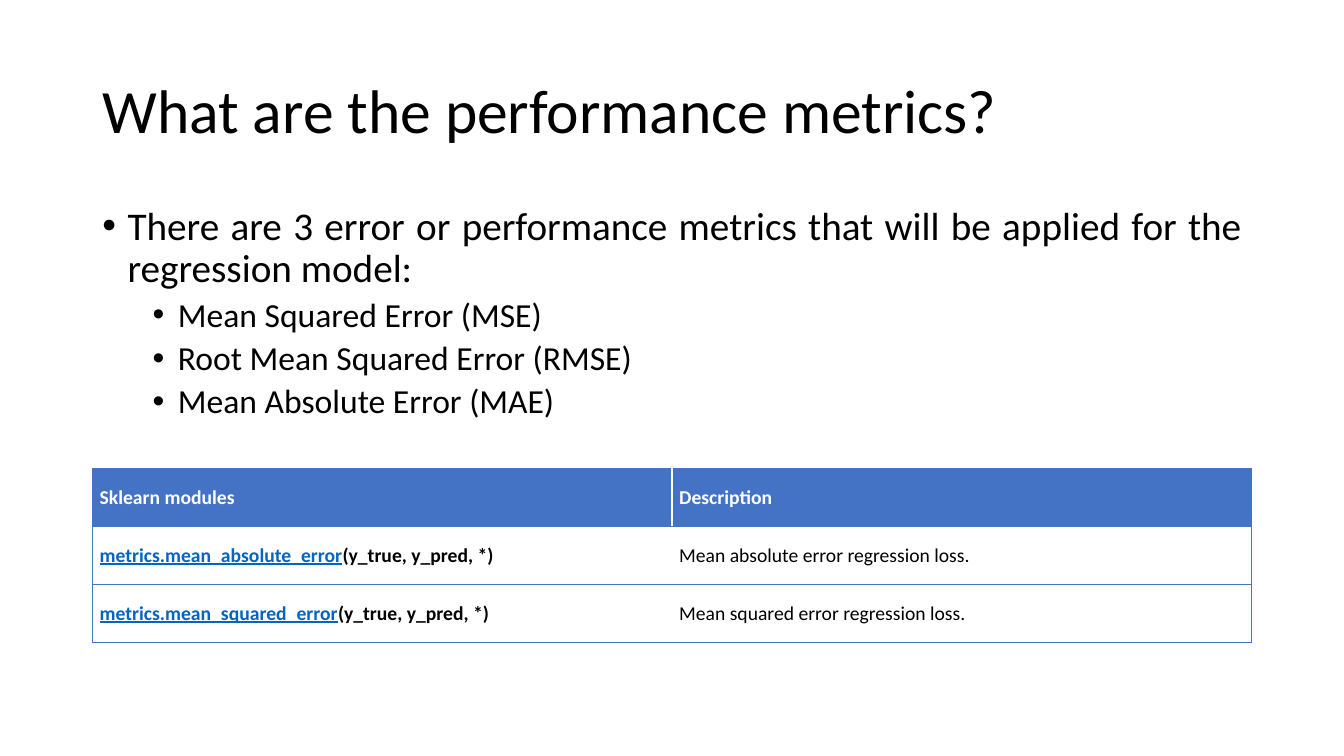
import pptx
import pptx.dml.color
import pptx.enum.text
import pptx.oxml
import pptx.oxml.ns
import pptx.util

Cm = pptx.util.Cm
Pt = pptx.util.Pt
Anchor = pptx.enum.text.MSO_ANCHOR
BLUE, LINK, BLACK, WHITE = "4472C4", "0563C1", "000000", "FFFFFF"
LEFT, WIDTH = Cm(2.33), Cm(29.21)


def color(code):
    return pptx.dml.color.RGBColor.from_string(code)


def write(para, text, size=14, fill=BLACK, bold=False, line=False):
    """Add one formatted run to a paragraph."""
    run = para.add_run()
    run.text = text
    run.font.name = "Calibri"
    run.font.size = Pt(size)
    run.font.bold = bold
    run.font.underline = line
    run.font.color.rgb = color(fill)


deck = pptx.Presentation()
deck.slide_width, deck.slide_height = Cm(33.87), Cm(19.05)
slide = deck.slides.add_slide(deck.slide_layouts[6])

# Title
title = slide.shapes.add_textbox(LEFT, Cm(1.02), WIDTH, Cm(3.68)).text_frame
title.word_wrap = True
title.vertical_anchor = Anchor.MIDDLE
title.paragraphs[0].line_spacing = 0.9
write(title.paragraphs[0], "What are the performance metrics?", size=44)

# Bullets: level, text
points = [
    (0, "There are 3 error or performance metrics that will be applied for the regression model:"),
    (1, "Mean Squared Error (MSE)"),
    (1, "Root Mean Squared Error (RMSE)"),
    (1, "Mean Absolute Error (MAE)"),
]
body = slide.shapes.add_textbox(LEFT, Cm(5.08), WIDTH, Cm(6.38)).text_frame
body.word_wrap = True
for i, (level, text) in enumerate(points):
    para = body.add_paragraph() if i else body.paragraphs[0]
    para.level = level
    para.alignment = pptx.enum.text.PP_ALIGN.JUSTIFY
    para.line_spacing = 0.9
    para.space_before = Pt(5 if level else 10)
    write(para, text, size=24 if level else 28)
    props = para._p.get_or_add_pPr()
    props.set("marL", str(Cm(0.635 + 1.27 * level)))
    props.set("indent", str(-Cm(0.635)))
    for tag, key, value in [("buFont", "typeface", "Arial"), ("buChar", "char", "•")]:
        mark = props.makeelement(pptx.oxml.ns.qn("a:" + tag), {key: value})
        props.append(mark)

# Table: each cell is a list of runs
head = {"fill": WHITE, "bold": True}
link = {"fill": LINK, "bold": True, "line": True}
rows = [[[("Sklearn modules", head)], [("Description", head)]]]
for kind in ("absolute", "squared"):
    rows.append([
        [(f"metrics.mean_{kind}_error", link), ("(y_true, y_pred, *)", {"bold": True})],
        [(f"Mean {kind} error regression loss.", {})],
    ])

grid = slide.shapes.add_table(3, 2, LEFT, Cm(11.81), WIDTH, Cm(4.38)).table
grid.horz_banding = False
for r, row in enumerate(rows):
    for c, runs in enumerate(row):
        cell = grid.cell(r, c)
        cell.vertical_anchor = Anchor.MIDDLE
        cell.margin_left = cell.margin_right = Cm(0.18)
        cell.margin_top = cell.margin_bottom = 0
        cell.fill.solid()
        cell.fill.fore_color.rgb = color(WHITE if r else BLUE)
        for text, style in runs:
            write(cell.text_frame.paragraphs[0], text, **style)
        # Outer frame and row rules, with no line between the columns
        sides = ["L" if c == 0 else "R", "T", "B"]
        for i, side in enumerate(sides):
            edge = pptx.oxml.parse_xml(
                f'<a:ln{side} {pptx.oxml.ns.nsdecls("a")} w="{Pt(0.5)}">'
                f'<a:solidFill><a:srgbClr val="{BLUE}"/></a:solidFill></a:ln{side}>')
            cell._tc.get_or_add_tcPr().insert(i, edge)

deck.save("out.pptx")
